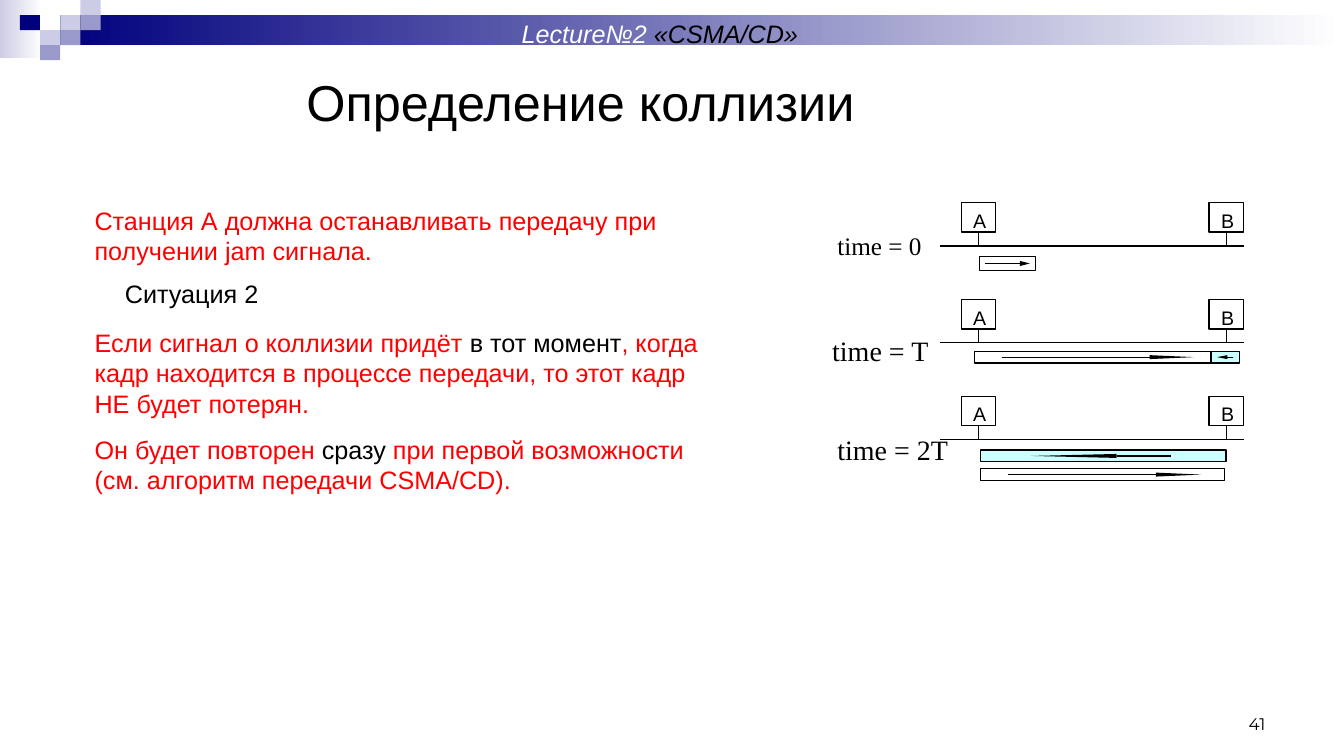
from lxml.etree import SubElement
from pptx import Presentation
from pptx.dml.color import RGBColor
from pptx.enum.shapes import MSO_CONNECTOR, MSO_SHAPE
from pptx.enum.text import MSO_ANCHOR, MSO_AUTO_SIZE, PP_ALIGN
from pptx.oxml.ns import qn
from pptx.util import Cm, Pt

BLACK = RGBColor(0x00, 0x00, 0x00)
WHITE = RGBColor(0xFF, 0xFF, 0xFF)
RED = RGBColor(0xFF, 0x00, 0x00)
NAVY = RGBColor(0x00, 0x00, 0x7D)
LILAC = RGBColor(0x99, 0x99, 0xCC)
PALE = RGBColor(0xCC, 0xCC, 0xE6)
CYAN = RGBColor(0xCC, 0xFF, 0xFF)
LINE = Pt(0.88)

# Header checker: column, row, colour
CHECKER = [(2, 1, PALE), (3, 0, PALE), (3, 1, LILAC), (1, 2, PALE),
           (0, 1, NAVY), (2, 2, LILAC), (1, 3, LILAC)]

BODY = [
    (0, [("Станция А должна останавливать передачу при получении jam сигнала.", RED)]),
    (44, [("Если сигнал о коллизии придёт ", RED), ("в тот момент", BLACK),
          (", когда кадр находится в процессе передачи, "
           "то этот кадр НЕ будет потерян.", RED)]),
    (11.2, [("Он будет повторен ", RED), ("сразу", BLACK),
            (" при первой возможности (см. алгоритм передачи CSMA/CD).", RED)]),
]

# Label: text, size, left, top, width
# Frames: left, top, width, height, fill, arrow (start, head base, tip, head height)
MOMENTS = [
    (("time = 0", 18, -2.84, 0.58, 2.8),
     [(0.99, 1.35, 1.42, 0.36, None, (1.12, 2.01, 2.26, 0.13))]),
    (("time = T", 20, -2.97, 0.74, 3),
     [(0.86, 1.3, 6.15, 0.3, None, (1.55, 5.28, 6.4, 0.1)),
      (6.83, 1.3, 0.71, 0.3, CYAN, (7.39, 7.24, 6.98, 0.1))]),
    (("time = 2T", 20, -2.84, 0.79, 3.4),
     [(1.01, 1.35, 6.2, 0.3, CYAN, (5.82, 4.45, 2.29, 0.1)),
      (1.01, 1.82, 6.15, 0.3, None, (1.7, 5.44, 6.58, 0.1))]),
]


def apply(obj, **values):
    for name, value in values.items():
        setattr(obj, name, value)


def add_run(p, text, size, color, name="Arial", **extra):
    r = p.add_run()
    r.text = text
    apply(r.font, size=Pt(size), name=name, **extra)
    r.font.color.rgb = color


def add_label(s, x, y, w, h, runs, size, align=PP_ALIGN.LEFT, wrap=True,
              anchor=MSO_ANCHOR.TOP, **font):
    tf = s.shapes.add_textbox(Cm(x), Cm(y), Cm(w), Cm(h)).text_frame
    apply(tf, word_wrap=wrap, vertical_anchor=anchor)
    p = tf.paragraphs[0]
    p.alignment = align
    for text, color in runs:
        add_run(p, text, size, color, **font)


def add_rect(s, x, y, w, h, fill=None, line=None):
    sp = s.shapes.add_shape(MSO_SHAPE.RECTANGLE, Cm(x), Cm(y), Cm(w), Cm(h))
    sp.shadow.inherit = False
    if fill is None:
        sp.fill.background()
    else:
        sp.fill.solid()
        sp.fill.fore_color.rgb = fill
    if line is None:
        sp.line.fill.background()
    else:
        sp.line.color.rgb = line
        sp.line.width = LINE
    return sp


def add_line(s, x1, y1, x2, y2):
    c = s.shapes.add_connector(MSO_CONNECTOR.STRAIGHT, Cm(x1), Cm(y1), Cm(x2), Cm(y2))
    c.line.color.rgb = BLACK
    c.line.width = LINE
    SubElement(c._element.spPr, qn("a:effectLst"))
    return c


def add_arrow(s, start, base, tip, y, height):
    add_line(s, start, y, base, y)
    fb = s.shapes.build_freeform(Cm(base), Cm(y - height / 2))
    fb.add_line_segments([(Cm(tip), Cm(y)), (Cm(base), Cm(y + height / 2))], close=True)
    sp = fb.convert_to_shape()
    sp.shadow.inherit = False
    sp.fill.solid()
    sp.fill.fore_color.rgb = BLACK
    sp.line.fill.background()


def add_header(s, x, y, w):
    # Gradient bars
    for dx, dy, bw, bh, color in [(0, 0, 1.07, 1.47, PALE),
                                  (1.52, 0.38, w - 1.52, 0.76, NAVY)]:
        sp = add_rect(s, x + dx, y + dy, bw, bh, WHITE)
        sp.fill.gradient()
        sp.fill.gradient_angle = 0
        for stop, stop_color in zip(sp.fill.gradient_stops, (color, WHITE)):
            stop.color.rgb = stop_color
    # Checker squares
    for col, row, color in CHECKER:
        add_rect(s, x + 0.5 + 0.51 * col, y + 0.38 * row, 0.51, 0.38, color)
    # Lecture name
    add_label(s, x + 12.9, y + 0.33, 7.47, 1.02,
              [("Lecture№2", WHITE), (" «CSMA/CD»", BLACK)], 18,
              PP_ALIGN.CENTER, wrap=False, italic=True)


def add_title(s, x, y, w, h):
    sp = s.shapes.title
    apply(sp, left=Cm(x), top=Cm(y), width=Cm(w), height=Cm(h))
    apply(sp.text_frame, vertical_anchor=MSO_ANCHOR.MIDDLE, auto_size=MSO_AUTO_SIZE.NONE)
    p = sp.text_frame.paragraphs[0]
    p.alignment = PP_ALIGN.LEFT
    add_run(p, "Определение коллизии", 36, BLACK)


def add_body(s, x, y, w, h):
    sp = s.placeholders[1]
    apply(sp, left=Cm(x), top=Cm(y), width=Cm(w), height=Cm(h))
    tf = sp.text_frame
    tf.auto_size = MSO_AUTO_SIZE.NONE
    for i, (before, runs) in enumerate(BODY):
        p = tf.add_paragraph() if i else tf.paragraphs[0]
        apply(p, space_before=Pt(before), line_spacing=Pt(21.7))
        pPr = p._p.get_or_add_pPr()
        pPr.set("marL", "0")
        pPr.set("indent", "0")
        SubElement(pPr, qn("a:buNone"))
        for text, color in runs:
            add_run(p, text, 18, color)
    # Case heading between the paragraphs
    add_label(s, x + 0.77, y + 1.85, 5.69, 1.02, [("Ситуация 2", BLACK)], 18)


def add_moment(s, x, y, w, label, frames):
    # Shared medium and its two stations
    bus = y + 1.09
    add_line(s, x, bus, x + w, bus)
    for name, dx in (("A", 0.53), ("B", 6.78)):
        sp = add_rect(s, x + dx, y, 0.86, 0.74, line=BLACK)
        tf = sp.text_frame
        apply(tf, margin_left=Cm(0.08), margin_right=0, margin_top=0,
              margin_bottom=0, vertical_anchor=MSO_ANCHOR.BOTTOM)
        tf.paragraphs[0].alignment = PP_ALIGN.CENTER
        add_run(tf.paragraphs[0], name, 14, BLACK)
        drop = add_line(s, x + dx + 0.43, y + 0.74, x + dx + 0.43, bus)
        drop.begin_connect(sp, 2)
    # Frames in transit
    for dx, dy, fw, fh, fill, (start, base, tip, head) in frames:
        add_rect(s, x + dx, y + dy, fw, fh, fill, BLACK)
        add_arrow(s, x + start, x + base, x + tip, y + dy + fh / 2, head)
    # Time label, kept on one line
    text, size, dx, dy, lw = label
    add_label(s, x + dx, y + dy, lw, 1.1, [(text, BLACK)], size, name="Times New Roman")


def add_timeline(s, x, y, w, pitch):
    for i, (label, frames) in enumerate(MOMENTS):
        add_moment(s, x, y + i * pitch, w, label, frames)


def main():
    prs = Presentation()
    prs.slide_width, prs.slide_height = Cm(33.88), Cm(19.05)
    s = prs.slides.add_slide(prs.slide_layouts[1])
    add_header(s, 0, 0, 33.88)
    add_title(s, 7.47, 1.5, 20.12, 2.11)
    add_body(s, 2.13, 5.03, 16.43, 7.54)
    add_timeline(s, 23.7, 5.11, 7.65, 2.44)
    # Slide number
    add_label(s, 30.12, 17.35, 2.03, 1.27, [("41", BLACK)], 12, PP_ALIGN.RIGHT,
              anchor=MSO_ANCHOR.BOTTOM, name="Montserrat")
    prs.save("out.pptx")


if __name__ == "__main__":
    main()
